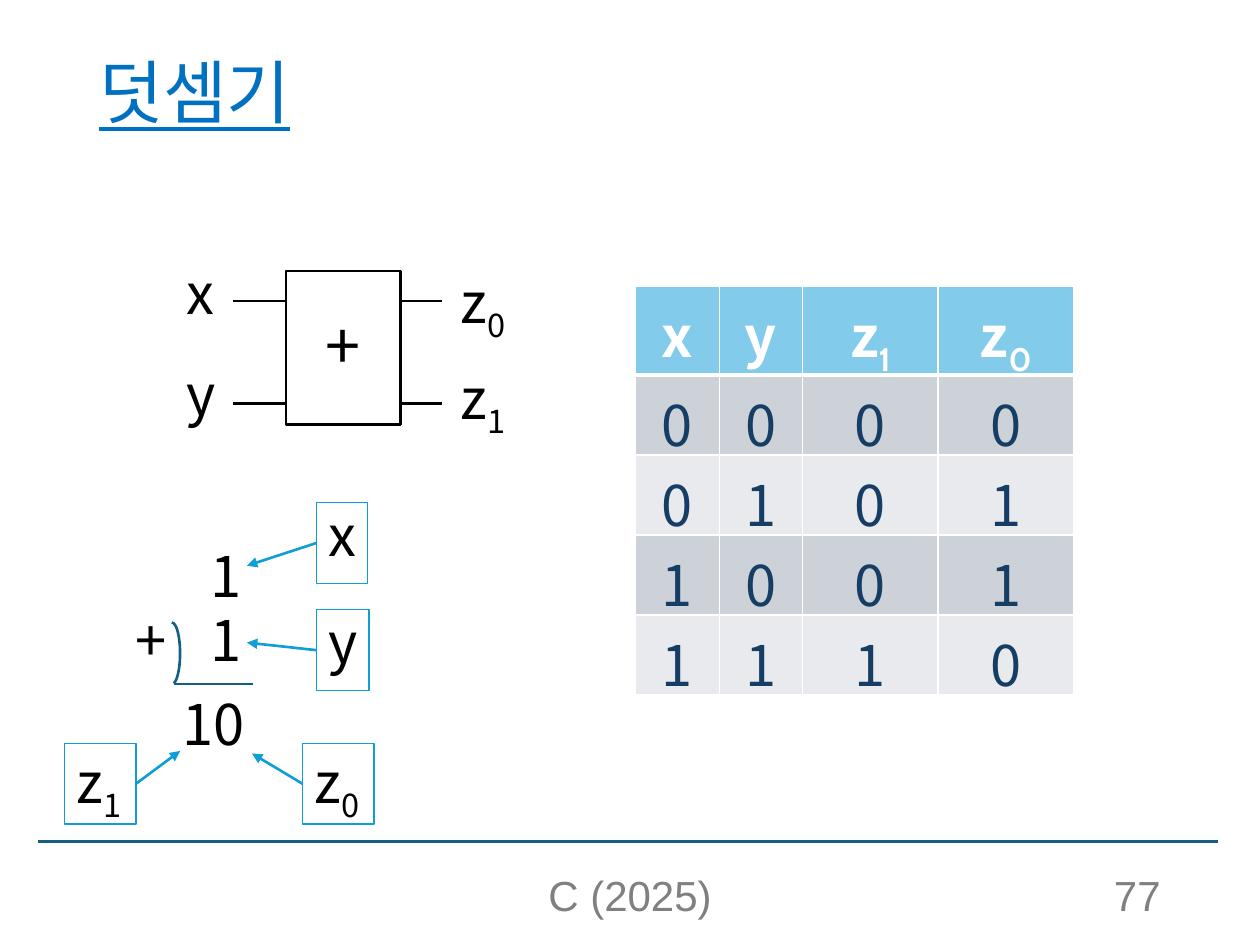
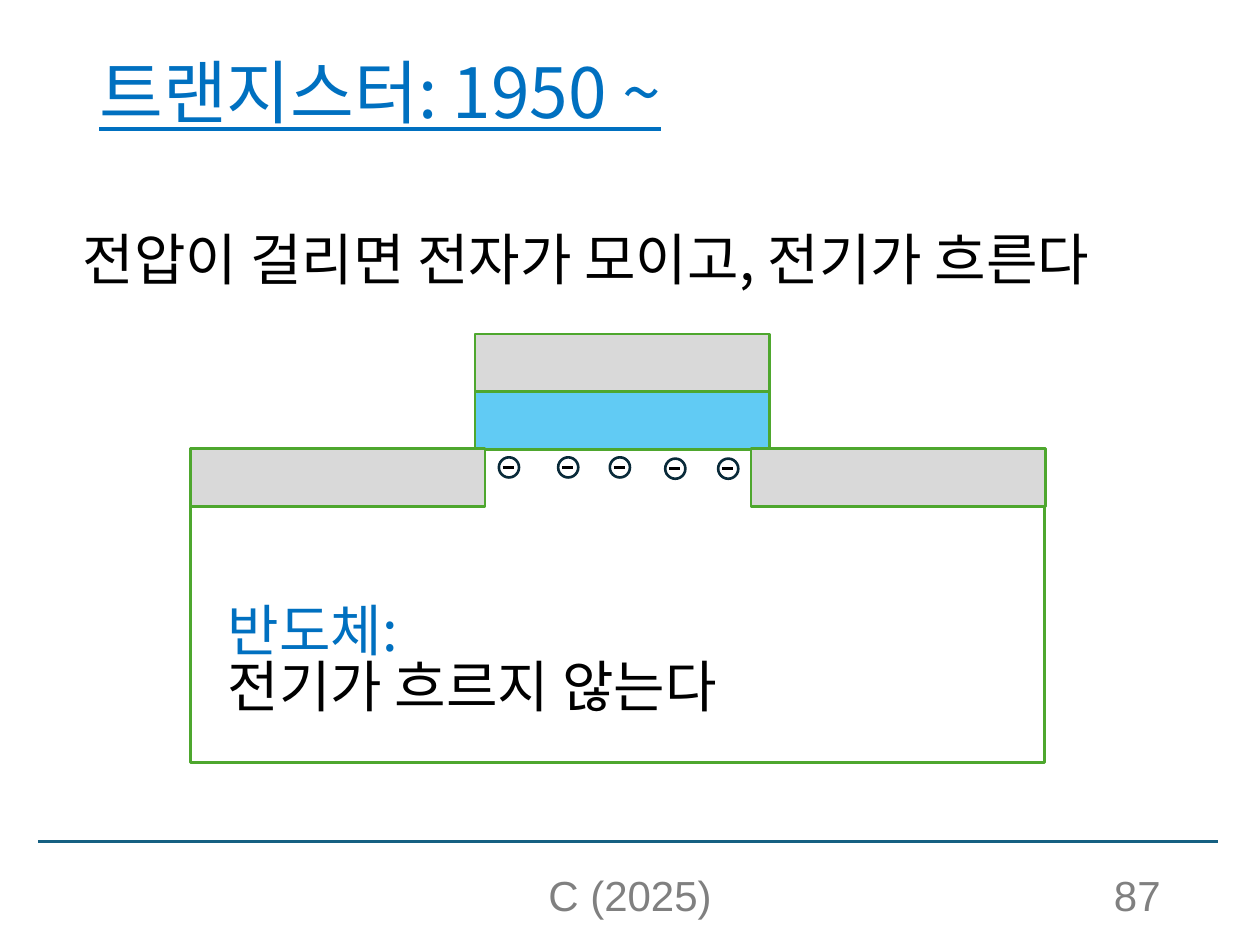
from lxml import etree
from pptx import Presentation
from pptx import util as u
from pptx.dml.color import RGBColor
from pptx.enum import shapes, text
from pptx.oxml.ns import qn

COLS, ROWS = 100, 75
INK = dict(title="0070C0", rule="156082", foot="808080", black="000000",
           white="FFFFFF", arrow="0F9ED5", navy="163E64", head="83CBEB",
           odd="CCD2D8", even="E8EAED", green="4EA72E", metal="D9D9D9",
           oxide="61CBF4", ring="092A39")
SANS, FOOT, SUB = "Noto Sans CJK KR", "Arial", "Cabin"
ALIGN = dict(l=text.PP_ALIGN.LEFT, c=text.PP_ALIGN.CENTER, r=text.PP_ALIGN.RIGHT)
ANCHOR = dict(t=text.MSO_ANCHOR.TOP, m=text.MSO_ANCHOR.MIDDLE,
              b=text.MSO_ANCHOR.BOTTOM)
KIND = shapes.MSO_SHAPE


def ink(name):
    return RGBColor.from_string(INK[name])


def write(frame, words, size=32, font=SANS, sub=SANS, color="black", bold=False,
          under=False, align="l", space=0.84):
    lines = words.split("\n")
    shades = color.split()
    for i, line in enumerate(lines):
        para = frame.paragraphs[0] if i == 0 else frame.add_paragraph()
        para.alignment = ALIGN[align]
        para.line_spacing = space
        for low, part in enumerate(line.split("_")):
            run = para.add_run()
            run.text = part
            face = run.font
            face.size, face.bold, face.underline = u.Pt(size), bold, under
            face.color.rgb = ink(shades[min(i, len(shades) - 1)])
            face.name = sub if low else font
            props = run._r.get_or_add_rPr()
            etree.SubElement(props, qn("a:ea")).set("typeface", face.name)
            if low:
                props.set("baseline", "-25000")


class Deck:
    def __init__(self):
        self.show = Presentation()
        self.show.slide_width, self.show.slide_height = u.Inches(10), u.Inches(7.5)
        self.slide = None

    def x(self, cols):
        return round(self.show.slide_width * cols / COLS)

    def y(self, rows):
        return round(self.show.slide_height * rows / ROWS)

    def place(self, at):
        return self.x(at[0]), self.y(at[1]), self.x(at[2]), self.y(at[3])

    def page(self, title, number):
        self.slide = self.show.slides.add_slide(self.show.slide_layouts[6])
        self.line((3, 66.8), (96.7, 66.8), "rule")
        self.label(title, (6.9, 4, 93.1, 7.4), anchor="m", wrap=True, drop=0,
                   size=39.6, color="title", under=True, space=0.87)
        foot = dict(anchor="b", wrap=True, drop=0, size=24, font=FOOT,
                    color="foot", space=1)
        self.label("C (2025)", (33.1, 69.5, 33.8, 4), align="c", **foot)
        self.label(str(number), (70.6, 69.5, 22.5, 4), align="r", **foot)

    def fit(self, shape, words, anchor="t", wrap=False, drop=0.2, **form):
        frame = shape.text_frame
        frame.word_wrap = wrap
        frame.vertical_anchor = ANCHOR[anchor]
        frame.margin_left = frame.margin_right = self.x(1)
        frame.margin_top, frame.margin_bottom = self.y(0.5 + drop), self.y(0.5 - drop)
        write(frame, words, **form)

    def label(self, words, at, **form):
        self.fit(self.slide.shapes.add_textbox(*self.place(at)), words, **form)

    def shape(self, at, edge, fill=None, kind=KIND.RECTANGLE, width=1.5,
              turns=(), words=None, **form):
        item = self.slide.shapes.add_shape(kind, *self.place(at))
        item.shadow.inherit = False
        for i, turn in enumerate(turns):
            item.adjustments[i] = turn
        if fill:
            item.fill.solid()
            item.fill.fore_color.rgb = ink(fill)
        else:
            item.fill.background()
        item.line.color.rgb, item.line.width = ink(edge), u.Pt(width)
        if words:
            self.fit(item, words, **form)

    def line(self, start, end, color, arrow=False):
        item = self.slide.shapes.add_connector(
            shapes.MSO_CONNECTOR.STRAIGHT, self.x(start[0]), self.y(start[1]),
            self.x(end[0]), self.y(end[1]))
        item.line.color.rgb, item.line.width = ink(color), u.Pt(1.5)
        props = item._element.spPr
        if arrow:
            etree.SubElement(props.find(qn("a:ln")), qn("a:tailEnd")).set(
                "type", "triangle")
        etree.SubElement(props, qn("a:effectLst"))

    def cell(self, cell, words, fill, rims, **form):
        props = cell._tc.get_or_add_tcPr()
        for side, width in zip("LRTB", rims):
            rim = etree.SubElement(props, qn("a:ln" + side), w=str(u.Pt(width)))
            paint = etree.SubElement(rim, qn("a:solidFill"))
            etree.SubElement(paint, qn("a:srgbClr"), val=INK["white"])
        cell.fill.solid()
        cell.fill.fore_color.rgb = ink(fill)
        write(cell.text_frame, words, align="c", space=1, **form)

    def table(self, at, widths, high, rows):
        size = (at[0], at[1], sum(widths), high * len(rows))
        grid = self.slide.shapes.add_table(
            len(rows), len(widths), *self.place(size)).table
        for col, width in zip(grid.columns, widths):
            col.width = self.x(width)
        for r, row in enumerate(rows):
            grid.rows[r].height = self.y(high)
            fill = "head" if r == 0 else "odd" if r % 2 else "even"
            rims = (1, 1, 3 if r == 1 else 1, 3 if r == 0 else 1)
            for c, words in enumerate(row):
                self.cell(grid.cell(r, c), words, fill, rims, sub=SUB,
                          bold=r == 0, color="navy" if r else "white")


def adder(deck):
    deck.page("덧셈기", 77)
    bits = [(x, y) for x in (0, 1) for y in (0, 1)]
    truth = [(str(x), str(y), str(x & y), str(x ^ y)) for x, y in bits]
    deck.table((50.4, 22.7), (6.7, 6.6, 10.75, 10.75), 5.8,
               [("x", "y", "z_1", "z_0")] + truth)

    for words, left, top, wide in (
            ("x", 13.8, 20.7, 4.1), ("y", 13.8, 28.7, 4.2),
            ("z_0", 35.6, 20.9, 5.7), ("z_1", 35.6, 28.5, 5.7),
            ("1", 15.7, 43.1, 4.5), ("1", 15.7, 48.2, 4.5),
            ("+", 9.8, 48.2, 5.2), ("10", 13.5, 54.9, 7)):
        deck.label(words, (left, top, wide, 6.4))

    for row in (23.9, 32):
        deck.line((18.5, row), (22.7, row), "black")
        deck.line((31.8, row), (35.1, row), "black")
    deck.shape((22.7, 21.5, 9.1, 12.2), "black", "white", words="+",
               anchor="m", align="c", size=36)

    deck.line((13.8, 54.3), (20.1, 54.3), "rule")
    deck.shape((13, 49.4, 1.3, 4.9), "rule", kind=KIND.ARC, turns=(162, 51.81))
    for words, left, top, wide, side, tip in (
            ("x", 25.1, 39.9, 4.1, 0, (19.6, 44.9)),
            ("y", 25.1, 48.4, 4.2, 0, (19.6, 51)),
            ("z_1", 5.1, 59, 5.7, 1, (14.3, 59.6)),
            ("z_0", 24, 59, 5.7, 0, (20, 59.8))):
        deck.shape((left, top, wide, 6.4), "arrow", width=0.75, words=words)
        deck.line((left + side * wide, top + 3.2), tip, "arrow", arrow=True)


def gate(deck):
    deck.page("트랜지스터: 1950 ~", 87)
    deck.shape((15.1, 35.7, 67.8, 24.8), "green", "white")
    for left, top, fill in ((37.7, 26.5, "metal"), (37.7, 31.1, "oxide"),
                            (15.1, 35.6, "metal"), (59.6, 35.6, "metal")):
        deck.shape((left, top, 23.4, 4.6), "green", fill)
    deck.label("반도체:\n전기가 흐르지 않는다", (17.1, 47.4, 45, 17.2),
               wrap=True, color="title black")
    for left, top in ((39.6, 36.3), (44.3, 36.3), (48.4, 36.3),
                      (52.8, 36.4), (57, 36.4)):
        deck.line((left + 0.3, top + 0.8), (left + 1.2, top + 0.8), "black")
        deck.shape((left, top, 1.6, 1.6), "ring", kind=KIND.OVAL)
    deck.label("전압이 걸리면 전자가 모이고, 전기가 흐른다", (5.6, 18, 88.9, 11.8),
               wrap=True)


def main():
    deck = Deck()
    adder(deck)
    gate(deck)
    deck.show.save("out.pptx")


if __name__ == "__main__":
    main()
